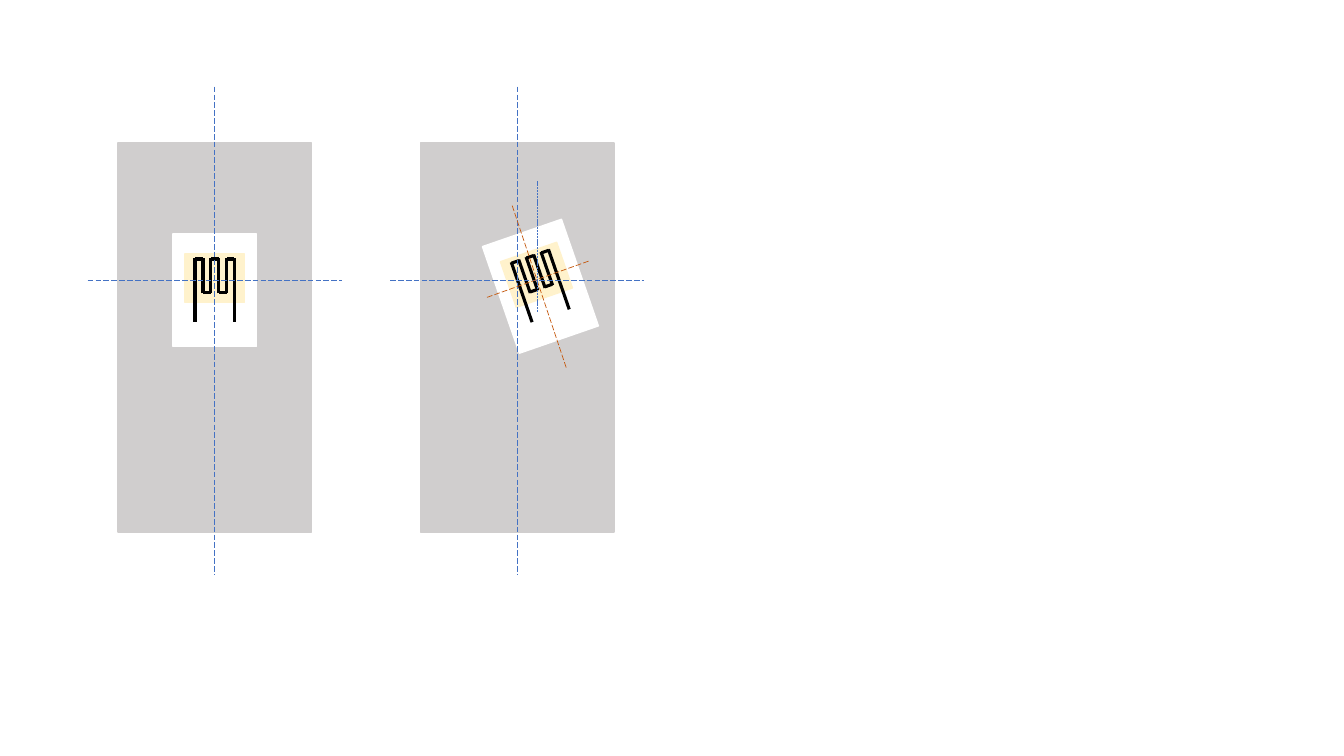
from dataclasses import dataclass

from lxml import etree
from pptx import Presentation
from pptx.dml.color import RGBColor
from pptx.enum.dml import MSO_LINE
from pptx.enum.shapes import MSO_CONNECTOR, MSO_SHAPE
from pptx.oxml.ns import qn
from pptx.util import Inches, Pt

RECTANGLE = MSO_SHAPE.RECTANGLE
STRAIGHT = MSO_CONNECTOR.STRAIGHT
LONG_DASH = MSO_LINE.LONG_DASH
SHORT_DASH = MSO_LINE.SQUARE_DOT


@dataclass(frozen=True)
class Theme:
    plate: str = "D0CECE"
    card: str = "FFFFFF"
    pad: str = "FFF2CC"
    wire: str = "000000"
    axis: str = "4472C4"
    tilted_axis: str = "C55A11"
    edge_width: float = 1
    wire_width: float = 2.25
    axis_width: float = 0.5


@dataclass(frozen=True)
class Box:
    left: float
    top: float
    width: float
    height: float

    @property
    def center(self):
        return self.left + self.width / 2, self.top + self.height / 2


THEME = Theme()
PLATE_SIZE = (1.92, 3.86)
CARD_SIZE = (0.83, 1.12)
PAD_SIZE = (0.59, 0.48)


def centered_box(center, size):
    return Box(center[0] - size[0] / 2, center[1] - size[1] / 2, *size)


def add_block(shapes, box, color):
    block = shapes.add_shape(RECTANGLE, Inches(box.left), Inches(box.top),
                             Inches(box.width), Inches(box.height))
    block.shadow.inherit = False
    block.fill.solid()
    for color_format in (block.fill.fore_color, block.line.color):
        color_format.rgb = RGBColor.from_string(color)
    block.line.width = Pt(THEME.edge_width)


def add_line(shapes, start, end, color, width, dash=None):
    connector = shapes.add_connector(
        STRAIGHT, *(Inches(value) for value in (*start, *end)))
    connector.line.color.rgb = RGBColor.from_string(color)
    formats = {"width": Pt(width), "dash_style": dash}
    for name, value in formats.items():
        setattr(connector.line, name, value)
    properties = connector._element.find(qn("p:spPr"))
    etree.SubElement(properties, qn("a:effectLst"))


def add_axis(shapes, start, end, color=THEME.axis, dash=LONG_DASH):
    add_line(shapes, start, end, color, THEME.axis_width, dash)


def add_sensor(page, box, rotation):
    """White card with a meander wire, turned as one group."""
    group = page.shapes.add_group_shape()
    center_x, center_y = box.center
    add_block(group.shapes, box, THEME.card)
    add_block(group.shapes,
              centered_box((center_x, center_y - 0.12), PAD_SIZE), THEME.pad)

    # Meander: six uprights joined alternately at top and bottom
    pitch = 0.078
    columns = [center_x + (index - 2.5) * pitch for index in range(6)]
    top, fold, foot = (center_y + shift for shift in (-0.31, 0.03, 0.31))
    for index, column in enumerate(columns):
        bottom = foot if index in (0, 5) else fold
        add_line(group.shapes, (column, bottom), (column, top - 0.01),
                 THEME.wire, THEME.wire_width)
    for index, (left, right) in enumerate(zip(columns, columns[1:])):
        level = top if index % 2 == 0 else fold - 0.01
        add_line(group.shapes, (right, level), (left, level),
                 THEME.wire, THEME.wire_width)
    group.rotation = rotation


def add_panel(page, box, sensor_center, rotation=0):
    """Grey plate, its sensor and the two reference axes."""
    add_block(page.shapes, box, THEME.plate)
    add_sensor(page, centered_box(sensor_center, CARD_SIZE), rotation)
    middle, level = box.center[0], box.top + 1.36
    add_axis(page.shapes, (middle, box.top - 0.56), (middle, box.top + 4.28))
    add_axis(page.shapes, (middle - 1.26, level), (middle + 1.26, level))


def add_tilt_axes(page, box):
    """Axes of the turned sensor and a short vertical through its pad."""
    def at(column, row):
        return box.left + column, box.top + row

    add_axis(page.shapes, at(0.91, 0.62), at(1.45, 2.24), THEME.tilted_axis)
    add_axis(page.shapes, at(0.66, 1.53), at(1.67, 1.17), THEME.tilted_axis)
    add_axis(page.shapes, at(1.16, 0.38), at(1.16, 1.68), dash=SHORT_DASH)


deck = Presentation()
deck.slide_width, deck.slide_height = Inches(13.33), Inches(7.5)
page = deck.slides.add_slide(deck.slide_layouts[6])

# Aligned sensor on the left, turned sensor on the right
aligned_box = Box(1.17, 1.42, *PLATE_SIZE)
turned_box = Box(4.17, 1.42, *PLATE_SIZE)
add_panel(page, aligned_box, (2.13, 2.88))
add_panel(page, turned_box, (5.36, 2.84), rotation=340.9)
add_tilt_axes(page, turned_box)

deck.save("out.pptx")
